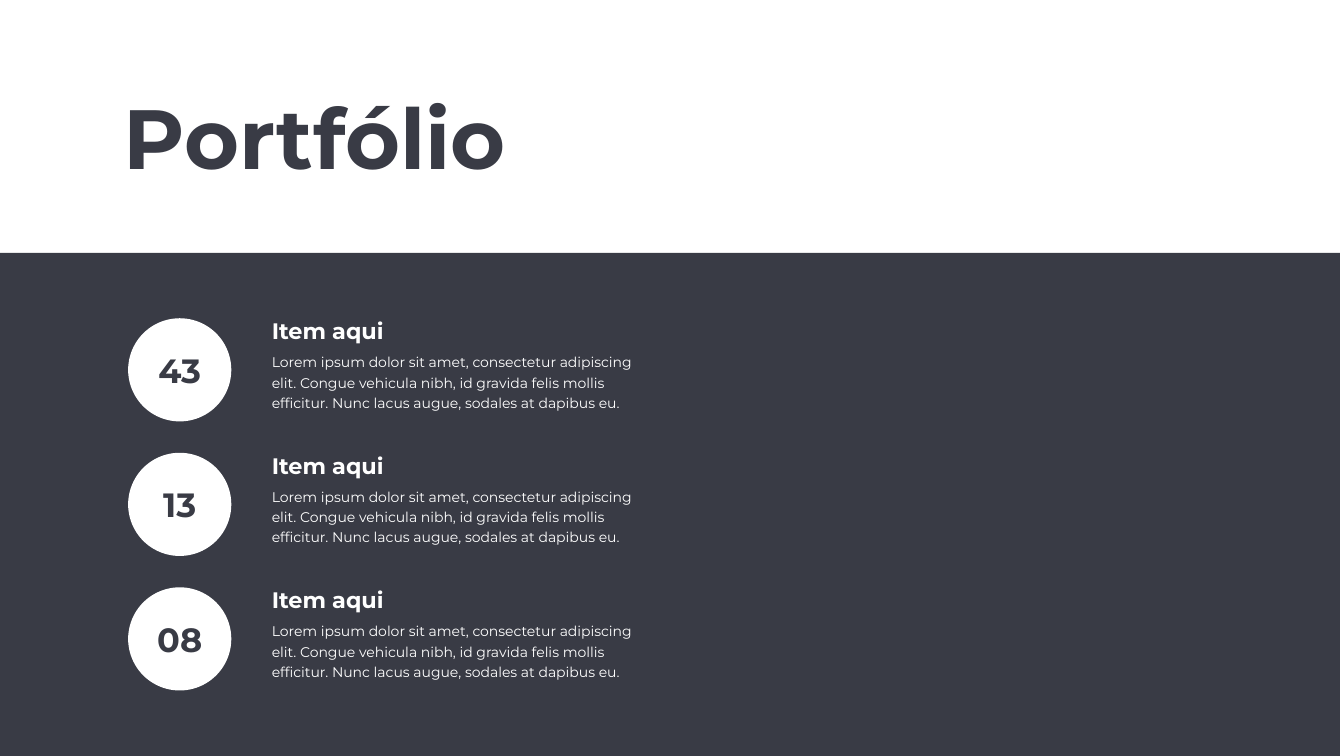
from pptx import Presentation
from pptx.dml.color import RGBColor
from pptx.enum.shapes import MSO_SHAPE
from pptx.enum.text import MSO_ANCHOR, MSO_AUTO_SIZE, PP_ALIGN
from pptx.util import Cm, Pt

DARK = RGBColor(0x39, 0x3B, 0x45)
WHITE = RGBColor(0xFF, 0xFF, 0xFF)

DESCRIPTION = (
    "Lorem ipsum dolor sit amet, consectetur adipiscing elit. "
    "Congue vehicula nibh, id gravida felis mollis efficitur. "
    "Nunc lacus augue, sodales at dapibus eu."
)
ITEMS = [
    ("43", "Item aqui", DESCRIPTION),
    ("13", "Item aqui", DESCRIPTION),
    ("08", "Item aqui", DESCRIPTION),
]
FIRST_ITEM_TOP = 7.87
ITEM_PITCH = 3.39


class PortfolioSlide:
    """Holds the style and the slide being filled."""

    font_name = "Montserrat"

    def __init__(self, deck):
        self.slide = deck.slides.add_slide(deck.slide_layouts[5])
        self.slide.background.fill.solid()
        self.slide.background.fill.fore_color.rgb = WHITE

    def fill_text(self, frame, text, size, color, bold=False, spacing=None,
                  align=PP_ALIGN.LEFT):
        frame.word_wrap = True
        frame.auto_size = MSO_AUTO_SIZE.NONE
        para = frame.paragraphs[0]
        para.alignment = align
        para.space_before = Pt(0)
        if spacing is not None:
            para.line_spacing = spacing
        span = para.add_run()
        span.text = text
        span.font.name = self.font_name
        span.font.size = Pt(size)
        span.font.bold = bold
        span.font.color.rgb = color

    def title(self, text, left, top, width, height):
        box = self.slide.shapes.title
        box.left, box.top = Cm(left), Cm(top)
        box.width, box.height = Cm(width), Cm(height)
        box.text_frame.vertical_anchor = MSO_ANCHOR.TOP
        self.fill_text(box.text_frame, text, 60, DARK, bold=True,
                       spacing=Pt(70))

    def shape(self, kind, left, top, width, height, color):
        shape = self.slide.shapes.add_shape(
            kind, Cm(left), Cm(top), Cm(width), Cm(height))
        shape.shadow.inherit = False
        shape.fill.solid()
        shape.fill.fore_color.rgb = color
        shape.line.fill.background()
        return shape

    def text(self, text, left, top, width, height, size, **style):
        box = self.slide.shapes.add_textbox(
            Cm(left), Cm(top), Cm(width), Cm(height))
        self.fill_text(box.text_frame, text, size, WHITE, **style)

    def number_circle(self, number, left, top, diameter):
        circle = self.shape(
            MSO_SHAPE.OVAL, left, top, diameter, diameter, WHITE)
        frame = circle.text_frame
        frame.margin_left = frame.margin_right = Cm(0)
        frame.vertical_anchor = MSO_ANCHOR.MIDDLE
        self.fill_text(frame, number, 24, DARK, bold=True,
                       align=PP_ALIGN.CENTER)

    def item(self, number, heading, description, top):
        self.text(description, 6.6, top + 0.84, 10.13, 2.06, 10, spacing=1.2)
        self.text(heading, 6.6, top, 10.13, 0.94, 16, bold=True)
        self.number_circle(number, 3.23, top + 0.15, 2.6)


def main():
    deck = Presentation()
    deck.slide_width, deck.slide_height = Cm(33.87), Cm(19.05)
    page = PortfolioSlide(deck)

    # Heading and dark lower band
    page.title("Portfólio", 2.87, 2.11, 19.69, 2.74)
    page.shape(MSO_SHAPE.RECTANGLE, -0.1, 6.37, 33.87, 12.68, DARK)

    # Numbered items
    for row, (number, heading, description) in enumerate(ITEMS):
        page.item(number, heading, description,
                  FIRST_ITEM_TOP + row * ITEM_PITCH)

    deck.save("out.pptx")


if __name__ == "__main__":
    main()
